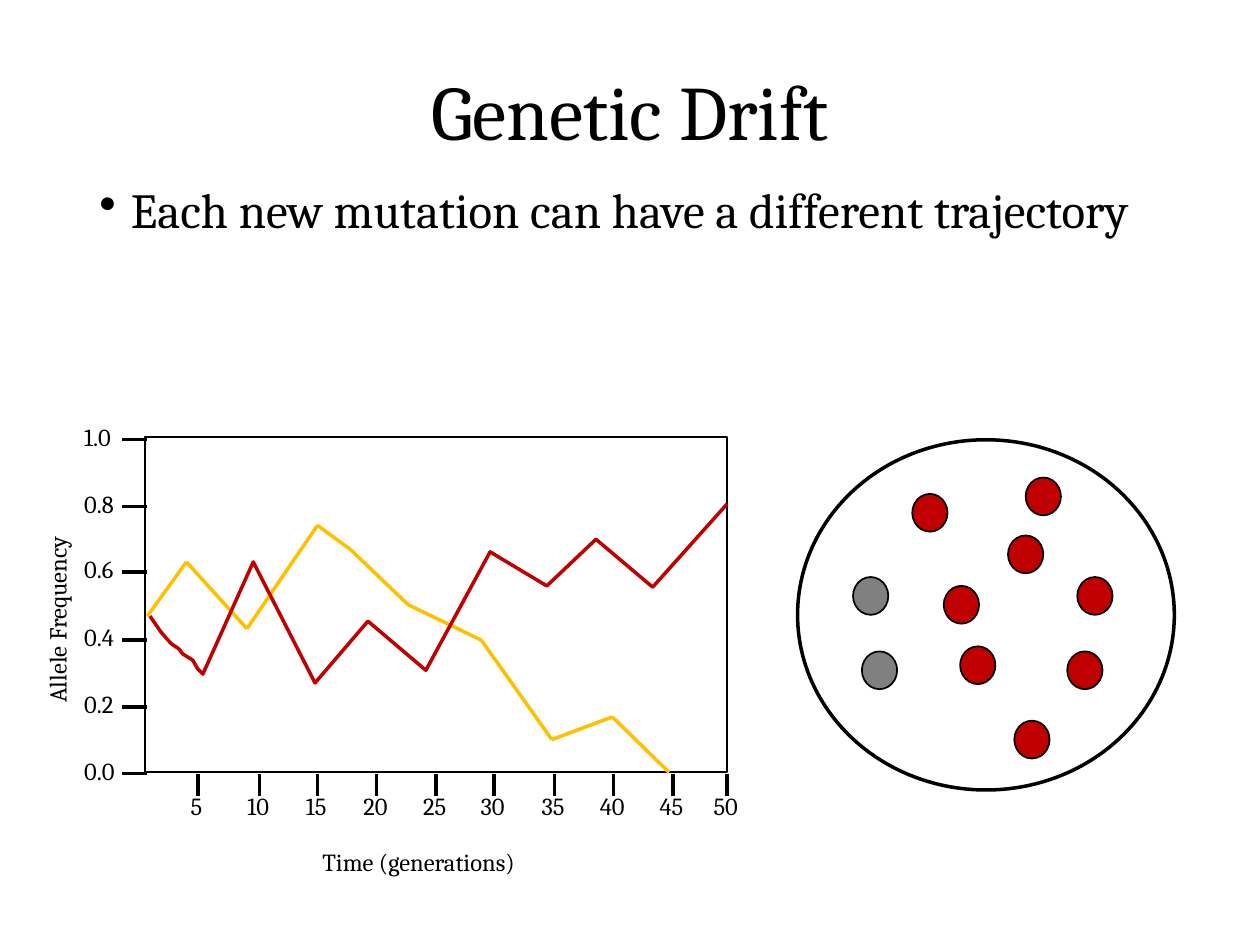
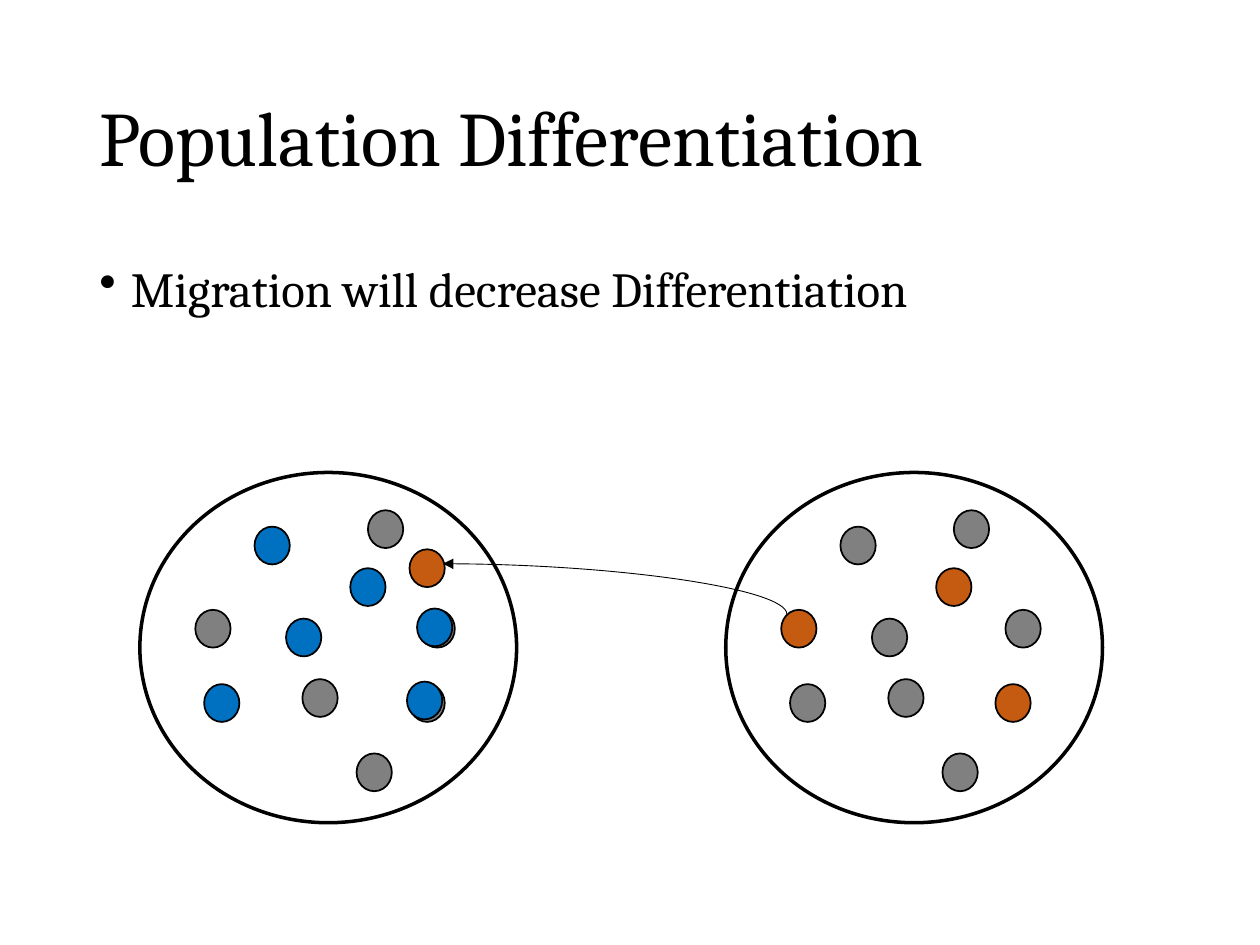
import itertools

import pptx
import pptx.dml.color
import pptx.enum.shapes
import pptx.enum.text
import pptx.oxml.ns
import pptx.util

PX = 9144
BLACK = pptx.dml.color.RGBColor(0x00, 0x00, 0x00)
RED = pptx.dml.color.RGBColor(0xC0, 0x00, 0x00)
YELLOW = pptx.dml.color.RGBColor(0xFF, 0xC0, 0x00)
GRAY = pptx.dml.color.RGBColor(0x80, 0x80, 0x80)
BLUE = pptx.dml.color.RGBColor(0x00, 0x70, 0xC0)
ORANGE = pptx.dml.color.RGBColor(0xC5, 0x5A, 0x11)

TITLE_FONT = {"name": "Cambria", "size": pptx.util.Pt(44)}
BODY_FONT = {"name": "Cambria", "size": pptx.util.Pt(28)}
LABEL_FONT = {"name": "Cambria", "size": pptx.util.Pt(14)}

SHAPE = pptx.enum.shapes.MSO_SHAPE
CONNECTOR = pptx.enum.shapes.MSO_CONNECTOR
ALIGN = pptx.enum.text.PP_ALIGN
ANCHOR = pptx.enum.text.MSO_ANCHOR

LEFT, WIDTH = 69, 862
POPULATION_SIZE = (299, 278)
ALLELE_SIZE = (28, 30)
ALLELE_SPOTS = [(91, 43), (167, 76), (116, 116), (51, 168), (181, 30),
                (44, 109), (214, 168), (222, 109), (129, 164), (172, 223)]

PLOT_BOX = (115, 347, 462, 266)
FREQUENCY_TICKS = {"1.0": 349, "0.8": 402, "0.6": 454,
                   "0.4": 508, "0.2": 561, "0.0": 614}
GENERATION_TICKS = [157, 206, 252, 299, 346, 392, 440, 487, 534, 577]
LOST_ALLELE = [(117, 489), (148, 446), (196, 499), (252, 417), (278, 436),
               (324, 480), (382, 508), (438, 587), (486, 569), (531, 613)]
RISING_ALLELE = [(119, 489), (128, 502), (136, 511), (142, 515), (145, 519),
                 (153, 524), (157, 531), (161, 535), (201, 446), (250, 542),
                 (292, 493), (338, 532), (389, 438), (434, 465), (473, 428),
                 (518, 466), (577, 400)]


def emu(*lengths):
    return [pptx.util.Emu(n * PX) for n in lengths]


def set_line(line, color, width):
    line.color.rgb = color
    line.width = pptx.util.Pt(width)


def add_child(parent, tag, **attrs):
    child = parent.makeelement(pptx.oxml.ns.qn(tag), attrs)
    parent.append(child)
    return child


def add_text(s, box, text, font, align=ALIGN.LEFT, anchor=ANCHOR.TOP, spacing=1.0):
    sp = s.shapes.add_textbox(*emu(*box))
    tf = sp.text_frame
    tf.word_wrap = True
    tf.vertical_anchor = anchor
    p = tf.paragraphs[0]
    p.alignment = align
    p.line_spacing = spacing
    r = p.add_run()
    r.text = text
    r.font.color.rgb = BLACK
    for name, value in font.items():
        setattr(r.font, name, value)
    return sp


def add_title(s, height, text, align):
    add_text(s, (LEFT, 40, WIDTH, height), text, TITLE_FONT, align, ANCHOR.MIDDLE, 0.9)


def add_bullet(s, top, height, text, spacing):
    sp = add_text(s, (LEFT, top, WIDTH, height), text, BODY_FONT, spacing=spacing)
    pPr = sp.text_frame.paragraphs[0]._p.get_or_add_pPr()
    pPr.set("marL", str(25 * PX))
    pPr.set("indent", str(-25 * PX))
    add_child(pPr, "a:buChar", char="•")


def add_shape(s, kind, box, fill=None, width=1):
    sp = s.shapes.add_shape(kind, *emu(*box))
    sp.shadow.inherit = False
    if fill is None:
        sp.fill.background()
    else:
        sp.fill.solid()
        sp.fill.fore_color.rgb = fill
    set_line(sp.line, BLACK, width)


def add_line(s, start, end, color=BLACK, width=2, kind=CONNECTOR.STRAIGHT):
    c = s.shapes.add_connector(kind, *emu(*start, *end))
    set_line(c.line, color, width)
    add_child(c._element.spPr, "a:effectLst")
    return c


def add_allele(s, x, y, color):
    add_shape(s, SHAPE.OVAL, (x, y, *ALLELE_SIZE), color)


def add_population(s, x, y, colors):
    add_shape(s, SHAPE.OVAL, (x, y, *POPULATION_SIZE), width=2)
    for (dx, dy), color in zip(ALLELE_SPOTS, colors):
        add_allele(s, x + dx, y + dy, color)


def add_axes(s):
    add_shape(s, SHAPE.RECTANGLE, PLOT_BOX)
    for label, y in FREQUENCY_TICKS.items():
        add_line(s, (97, y), (117, y))
        add_text(s, (57, y - 19, 47, 34), label, LABEL_FONT)
    for i, x in enumerate(GENERATION_TICKS, 1):
        add_line(s, (x, 614), (x, 632))
        add_text(s, (x - 31, 623, 60, 34), str(5 * i), LABEL_FONT, ALIGN.CENTER)
    add_text(s, (246, 667, 192, 34), "Time (generations)", LABEL_FONT)
    sp = add_text(s, (-41, 464, 173, 34), "Allele Frequency", LABEL_FONT)
    sp.rotation = 270


def add_trajectories(s):
    for start, end in itertools.pairwise(LOST_ALLELE):
        add_line(s, start, end, YELLOW)
    fb = s.shapes.build_freeform(*RISING_ALLELE[0], scale=PX)
    fb.add_line_segments(RISING_ALLELE[1:], close=False)
    sp = fb.convert_to_shape()
    sp.shadow.inherit = False
    sp.fill.background()
    set_line(sp.line, RED, 2)


def add_migration_arrow(s):
    c = add_line(s, (468, 604), (508, 331), width=0.5, kind=CONNECTOR.CURVE)
    spPr = c._element.spPr
    spPr.find(pptx.oxml.ns.qn("a:xfrm")).set("rot", str(270 * 60000))
    spPr.find(pptx.oxml.ns.qn("a:prstGeom")).set("prst", "curvedConnector2")
    add_child(spPr.find(pptx.oxml.ns.qn("a:ln")), "a:tailEnd", type="triangle")


def build_drift(s):
    add_title(s, 103, "Genetic Drift", ALIGN.CENTER)
    add_bullet(s, 143, 533, "Each new mutation can have a different trajectory", 0.9)
    add_axes(s)
    add_trajectories(s)
    add_population(s, 633, 349, [RED] * 3 + [GRAY, RED, GRAY] + [RED] * 4)


def build_differentiation(s):
    add_title(s, 145, "Population Differentiation", ALIGN.LEFT)
    add_bullet(s, 200, 116, "Migration will decrease Differentiation", 1.0)
    add_population(s, 111, 375, [BLUE] * 4 + [GRAY] * 6)
    add_population(s, 576, 375, [GRAY, ORANGE, GRAY, GRAY, GRAY,
                                 ORANGE, ORANGE, GRAY, GRAY, GRAY])
    for x, y in [(331, 483), (323, 541)]:
        add_allele(s, x, y, BLUE)
    add_migration_arrow(s)
    add_allele(s, 325, 436, ORANGE)


def main():
    prs = pptx.Presentation()
    prs.slide_width, prs.slide_height = emu(1000, 750)
    for build in (build_drift, build_differentiation):
        build(prs.slides.add_slide(prs.slide_layouts[6]))
    prs.save("out.pptx")


if __name__ == "__main__":
    main()
